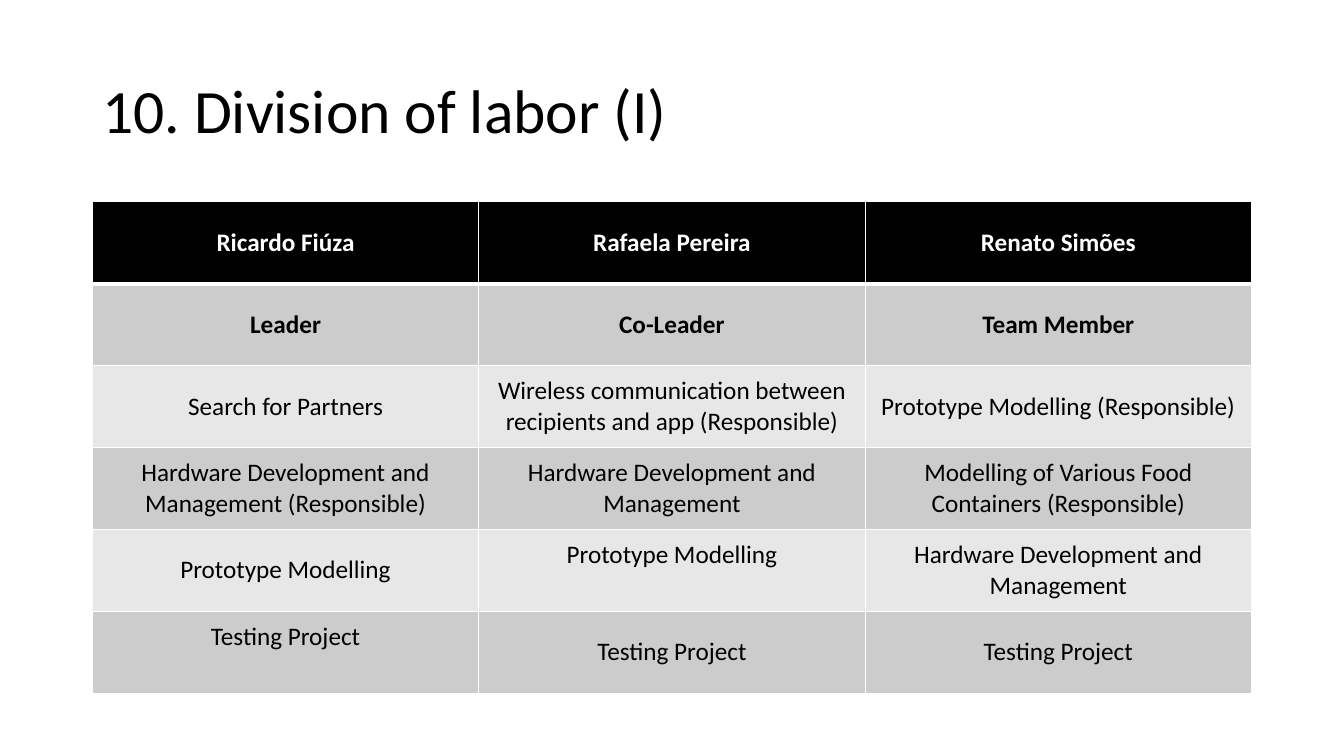
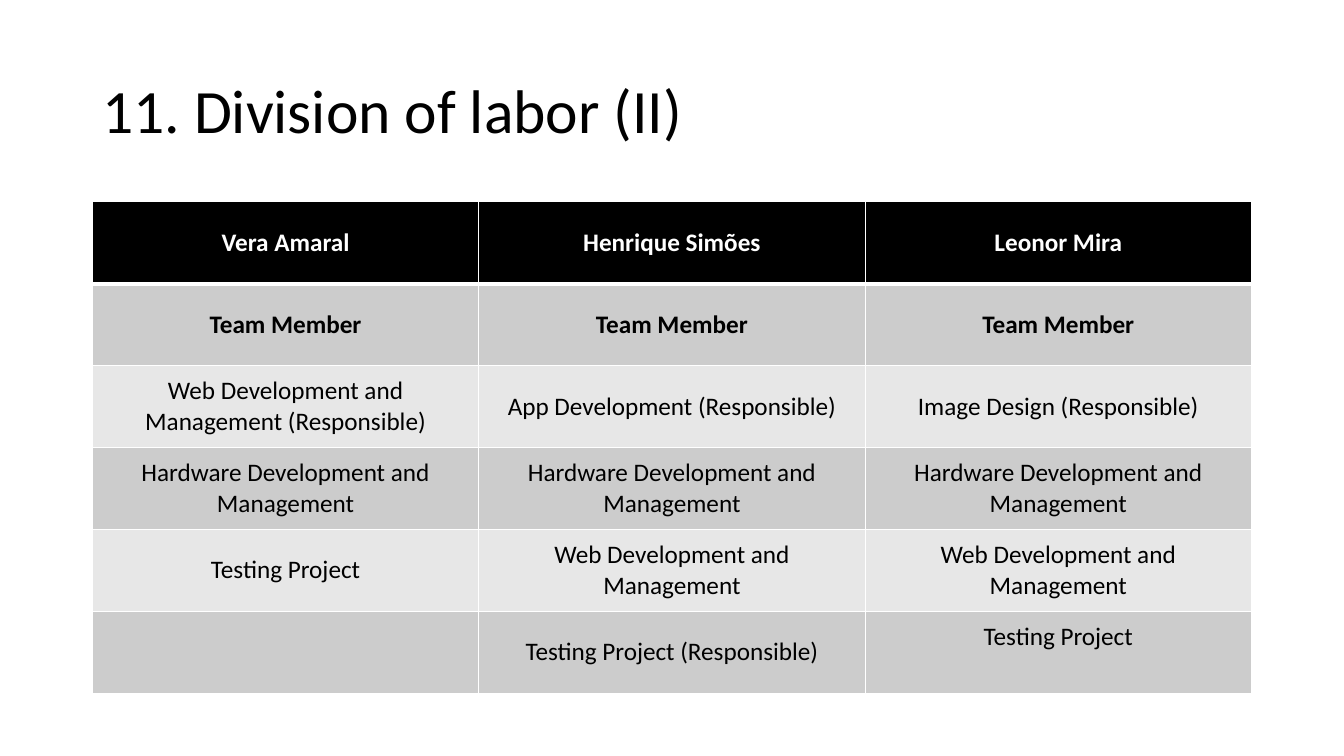
from lxml import etree
from pptx import Presentation
from pptx.dml.color import RGBColor
from pptx.enum.text import MSO_ANCHOR, PP_ALIGN
from pptx.oxml.ns import qn
from pptx.util import Pt

LEFT, CENTER = PP_ALIGN.LEFT, PP_ALIGN.CENTER
MIDDLE = MSO_ANCHOR.MIDDLE

BLACK = RGBColor(0x00, 0x00, 0x00)
WHITE = RGBColor(0xFF, 0xFF, 0xFF)
DARK = RGBColor(0xCC, 0xCC, 0xCC)
LIGHT = RGBColor(0xE7, 0xE7, 0xE7)

FONT = "Calibri"
EDGE, WIDTH = 66, 828
TOP, ROW = 144.2, 58.5
THIN, THICK = 0.96, 3
RAISE = 25.6  # bottom margin that lifts a cell's text by half a line

# Title, table rows, and the (row, column) cells whose text sits higher
PAGES = [
    ("10. Division of labor (I)", [
        ["Ricardo Fiúza", "Rafaela Pereira", "Renato Simões"],
        ["Leader", "Co-Leader", "Team Member"],
        ["Search for Partners",
         "Wireless communication between recipients and app (Responsible)",
         "Prototype Modelling (Responsible)"],
        ["Hardware Development and Management (Responsible)",
         "Hardware Development and Management",
         "Modelling of Various Food Containers (Responsible)"],
        ["Prototype Modelling", "Prototype Modelling",
         "Hardware Development and Management"],
        ["Testing Project", "Testing Project", "Testing Project"],
    ], {(4, 1), (5, 0)}),
    ("11. Division of labor (II)", [
        ["Vera Amaral", "Henrique Simões", "Leonor Mira"],
        ["Team Member", "Team Member", "Team Member"],
        ["Web Development and Management (Responsible)",
         "App Development (Responsible)", "Image Design (Responsible)"],
        ["Hardware Development and Management"] * 3,
        ["Testing Project", "Web Development and Management",
         "Web Development and Management"],
        ["", "Testing Project (Responsible)", "Testing Project"],
    ], {(5, 2)}),
]


def write(frame, text, size=18, color=BLACK, bold=False, align=CENTER,
          space=1.0):
    frame.word_wrap = True
    para = frame.paragraphs[0]
    para.text = text
    para.alignment = align
    para.line_spacing = space
    font = para.font
    font.name, font.size, font.bold = FONT, Pt(size), bold
    font.color.rgb = color


def border(cell, side, width):
    props = cell._tc.get_or_add_tcPr()
    line = etree.SubElement(props, qn("a:ln" + side), w=str(Pt(width)))
    fill = etree.SubElement(line, qn("a:solidFill"))
    etree.SubElement(fill, qn("a:srgbClr"), val=str(WHITE))


deck = Presentation()
deck.slide_width, deck.slide_height = Pt(960), Pt(540)
blank = deck.slide_layouts[6]

for title, rows, raised in PAGES:
    slide = deck.slides.add_slide(blank)

    # Title
    box = slide.shapes.add_textbox(Pt(EDGE), Pt(28.8), Pt(WIDTH), Pt(104.4))
    box.text_frame.vertical_anchor = MIDDLE
    write(box.text_frame, title, size=44, align=LEFT, space=0.9)

    # Table of people and tasks
    count = len(rows[0])
    table = slide.shapes.add_table(
        len(rows), count, Pt(EDGE), Pt(TOP), Pt(WIDTH),
        Pt(ROW * len(rows))).table
    table.horz_banding = False
    for col in table.columns:
        col.width = Pt(WIDTH / count)

    for r, row in enumerate(rows):
        table.rows[r].height = Pt(ROW)
        shade = BLACK if r == 0 else DARK if r % 2 else LIGHT
        for c, text in enumerate(row):
            cell = table.cell(r, c)
            cell.vertical_anchor = MIDDLE
            if (r, c) in raised:
                cell.margin_bottom = Pt(RAISE)
            # The rule under the header row is thicker
            for side in "LRTB":
                heavy = (r, side) in ((0, "B"), (1, "T"))
                border(cell, side, THICK if heavy else THIN)
            cell.fill.solid()
            cell.fill.fore_color.rgb = shade
            write(cell.text_frame, text, bold=r < 2,
                  color=WHITE if r == 0 else BLACK)

deck.save("out.pptx")
